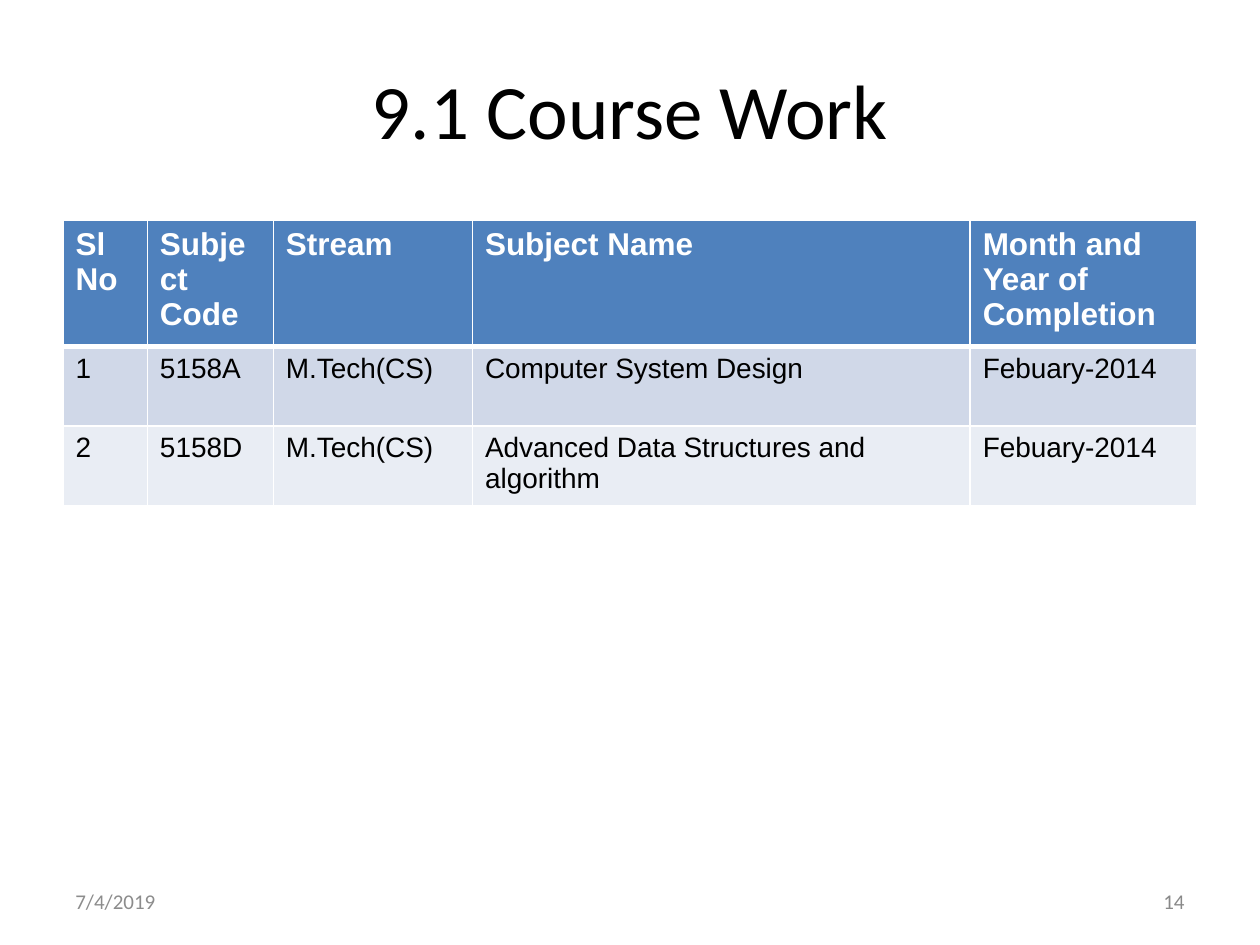
from lxml.etree import SubElement
from pptx import Presentation
from pptx.dml.color import RGBColor
from pptx.enum.text import MSO_ANCHOR, PP_ALIGN
from pptx.oxml.ns import qn
from pptx.util import Inches, Pt

WIDE, HIGH = Inches(10), Inches(7.5)
EDGE = 0.05
SPAN = 1 - 2 * EDGE


def tint(code):
    return RGBColor.from_string(code)


class Deck:
    head = "4F81BD"
    bands = ("D0D8E8", "E9EDF4")
    white, black = "FFFFFF", "000000"

    def __init__(self):
        self.file = Presentation()
        self.file.slide_width, self.file.slide_height = WIDE, HIGH
        self.slide = self.file.slides.add_slide(self.file.slide_layouts[6])

    def label(self, frame, words, size, color, font, bold=False, align=PP_ALIGN.LEFT):
        frame.word_wrap = True
        line = frame.paragraphs[0]
        line.alignment = align
        run = line.add_run()
        run.text = words
        run.font.size, run.font.name, run.font.bold = Pt(size), font, bold
        run.font.color.rgb = tint(color)

    def text(self, words, left, top, width, height, size, color, align):
        box = self.slide.shapes.add_textbox(
            int(left * WIDE), int(top * HIGH), int(width * WIDE), int(height * HIGH))
        box.text_frame.vertical_anchor = MSO_ANCHOR.MIDDLE
        self.label(box.text_frame, words, size, color, "Calibri", align=align)

    def border(self, cell, side, width):
        line = SubElement(cell._tc.get_or_add_tcPr(), qn("a:ln" + side), w=str(int(Pt(width))))
        fill = SubElement(line, qn("a:solidFill"))
        SubElement(fill, qn("a:srgbClr"), val=self.white)

    def cell(self, cell, words, row):
        top = row == 0
        for side in "LRTB":
            thick = (row, side) in ((0, "B"), (1, "T"))
            self.border(cell, side, 3 if thick else 1)
        cell.fill.solid()
        cell.fill.fore_color.rgb = tint(self.head if top else self.bands[(row - 1) % 2])
        self.label(cell.text_frame, words, 18 if top else 16,
                   self.white if top else self.black, "Arial", top)

    def table(self, rows, cols, highs, left, top):
        grid = self.slide.shapes.add_table(
            len(rows), len(cols), int(left * WIDE), int(top * HIGH),
            Inches(sum(cols)), Inches(sum(highs))).table
        for col, width in zip(grid.columns, cols):
            col.width = Inches(width)
        for row, high in zip(grid.rows, highs):
            row.height = Inches(high)
        for r, row in enumerate(rows):
            for c, words in enumerate(row):
                self.cell(grid.cell(r, c), words, r)


def main():
    deck = Deck()
    deck.text("9.1 Course Work", EDGE, 0.04, SPAN, 0.15, 44, deck.black, PP_ALIGN.CENTER)
    rows = (
        ("Sl No", "Subject Code", "Stream", "Subject Name", "Month and  Year of Completion"),
        ("1", "5158A", "M.Tech(CS)", "Computer System Design", "Febuary-2014"),
        ("2", "5158D", "M.Tech(CS)", "Advanced Data Structures and algorithm", "Febuary-2014"),
    )
    deck.table(rows, (0.67, 1, 1.58, 3.95, 1.8), (1, 0.63, 0.63), EDGE, 1.75 / 7.5)
    foot, part = 6.95 / 7.5, 2.33 / 10
    deck.text("7/4/2019", EDGE, foot, part, 0.4 / 7.5, 12, "8C8C8C", PP_ALIGN.LEFT)
    deck.text("14", 1 - EDGE - part, foot, part, 0.4 / 7.5, 12, "898989", PP_ALIGN.RIGHT)
    deck.file.save("out.pptx")


if __name__ == "__main__":
    main()
